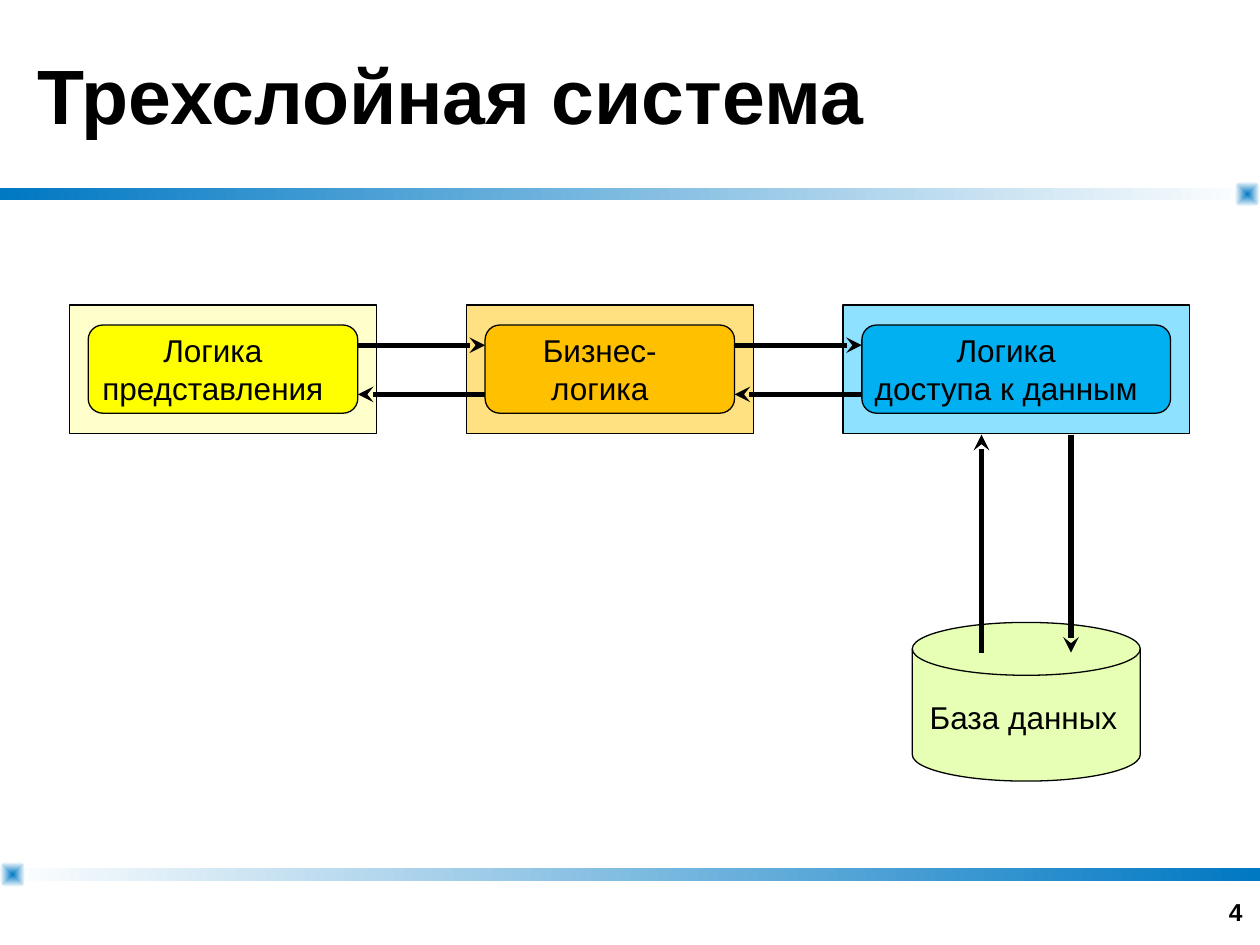
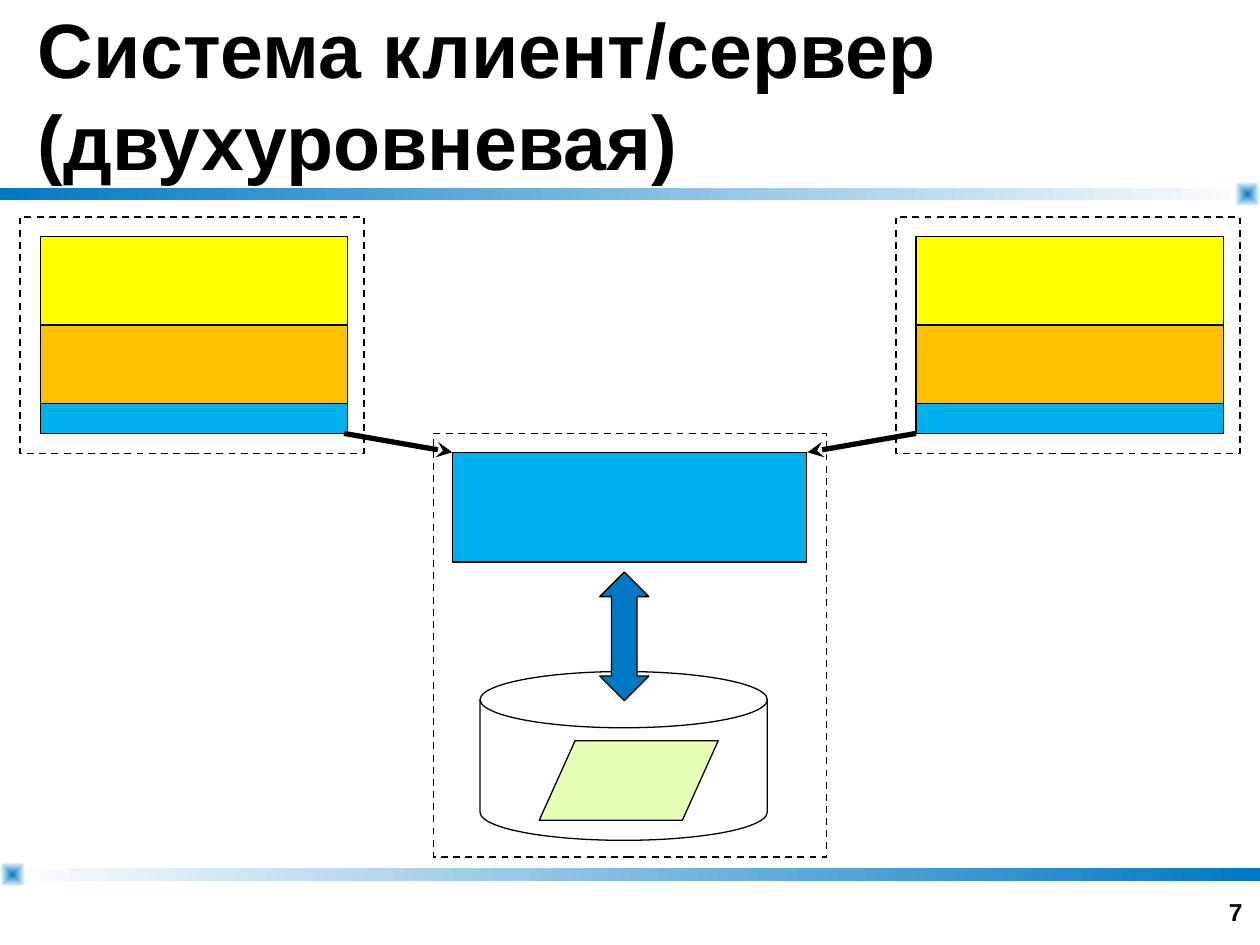
import pptx
import pptx.util
import pptx.dml.color
import pptx.enum.dml
import pptx.enum.shapes
import pptx.enum.text
import pptx.oxml
import pptx.oxml.ns

Inches = pptx.util.Inches
Pt = pptx.util.Pt
SHAPE = pptx.enum.shapes.MSO_SHAPE
ANCHOR = pptx.enum.text.MSO_ANCHOR
ALIGN = pptx.enum.text.PP_ALIGN

FONT = "Arial"
BLACK, WHITE, BLUE = "000000", "FFFFFF", "0078C3"
YELLOW, ORANGE, SKY, LIME = "FFFF00", "FFC000", "00B0F0", "E6FFB4"

THREE_LAYER = {"title": ["Трехслойная система"], "number": "4"}
CLIENT_SERVER = {"title": ["Система клиент/сервер", "(двухуровневая)"], "number": "7"}

BANDS = [(1.49, BLUE, WHITE), (6.89, WHITE, BLUE)]
BAND_ENDS = [(9.8, 1.44), (0, 6.84)]

LAYERS = [
    (0.55, 2.44, "FFFFCC", YELLOW, ["Логика", "представления"]),
    (3.7, 2.28, "FFE181", ORANGE, ["Бизнес-логика"]),
    (6.69, 2.75, "8FE2FF", SKY, ["Логика", "доступа к данным"]),
]
PANEL_TOP, PANEL_HEIGHT = 2.42, 1.02
INSET_X, INSET_Y = 0.15, 0.16
LABEL_SHIFT = 0.16
REQUEST_Y, REPLY_Y = 2.74, 3.13
DATABASE_LABEL = ["База данных"]
DATABASE_ARROWS = [(7.79, 5.18, 3.45), (8.5, 3.45, 5.18)]

CLIENT_LEFTS = [0.16, 7.11]
CLIENT_TOP, CLIENT_WIDTH, CLIENT_HEIGHT = 1.72, 2.73, 1.88
CLIENT_STACK = [(YELLOW, 0.7), (ORANGE, 0.62), (SKY, 0.24)]
STACK_INSET, STACK_WIDTH = 0.16, 2.44
SERVER_FRAME = (3.44, 3.44, 3.12, 3.36)
SERVER_LOGIC = (3.59, 3.59, 2.81, 0.87)
CLIENT_LINKS = [(2.73, 3.59), (7.27, 6.41)]


def rgb(value):
    return pptx.dml.color.RGBColor.from_string(value)


def add_part(slide, kind, box, fill=None, line=BLACK, weight=0.75, dash=None, adjust=()):
    part = slide.shapes.add_shape(kind, *map(Inches, box))
    part.shadow.inherit = False
    if fill:
        part.fill.solid()
        part.fill.fore_color.rgb = rgb(fill)
    else:
        part.fill.background()
    if line:
        part.line.color.rgb = rgb(line)
        part.line.width = Pt(weight)
        part.line.dash_style = dash
    else:
        part.line.fill.background()
    for index, value in enumerate(adjust):
        part.adjustments[index] = value
    return part


def add_gradient(part, start, end, centred=False):
    part.fill.gradient()
    for stop, color in zip(part.fill.gradient_stops, (start, end)):
        stop.color.rgb = rgb(color)
    part.fill.gradient_angle = 0
    if centred:
        direction = part._element.spPr.find(".//" + pptx.oxml.ns.qn("a:lin"))
        direction.getparent().replace(direction, pptx.oxml.parse_xml(
            f'<a:path {pptx.oxml.ns.nsdecls("a")} path="shape">'
            '<a:fillToRect l="50000" t="50000" r="50000" b="50000"/></a:path>'))


def add_text(slide, lines, box, size=18, bold=False, align=ALIGN.LEFT,
             anchor=ANCHOR.MIDDLE, wrap=False):
    frame = slide.shapes.add_textbox(*map(Inches, box)).text_frame
    frame.word_wrap = wrap
    frame.vertical_anchor = anchor
    for index, line in enumerate(lines):
        paragraph = frame.paragraphs[0] if index == 0 else frame.add_paragraph()
        paragraph.alignment = align
        run = paragraph.add_run()
        run.text = line
        run.font.name = FONT
        run.font.size = Pt(size)
        run.font.bold = bold
        run.font.color.rgb = rgb(BLACK)


def add_arrow(slide, start, end):
    arrow = slide.shapes.add_connector(
        pptx.enum.shapes.MSO_CONNECTOR.STRAIGHT, *map(Inches, start + end))
    arrow.line.color.rgb = rgb(BLACK)
    arrow.line.width = Pt(3)
    namespace = pptx.oxml.ns.nsdecls("a")
    arrow.line._get_or_add_ln().append(
        pptx.oxml.parse_xml(f'<a:tailEnd {namespace} type="stealth"/>'))
    arrow._element.spPr.append(pptx.oxml.parse_xml(f"<a:effectLst {namespace}/>"))


def add_page(deck, content):
    slide = deck.slides.add_slide(deck.slide_layouts[6])
    for top, start, end in BANDS:
        band = add_part(slide, SHAPE.RECTANGLE, (0, top, 10, 0.1), line=None)
        add_gradient(band, start, end)
    for left, top in BAND_ENDS:
        band_end = add_part(slide, SHAPE.ROUNDED_RECTANGLE, (left, top, 0.2, 0.2),
                            line=None, adjust=[0.32])
        add_gradient(band_end, BLUE, WHITE, centred=True)
    add_text(slide, content["title"], (0.2, 0, 9.6, 1.49), size=44, bold=True, wrap=True)
    add_text(slide, [content["number"]], (7.63, 6.9, 2.33, 0.5), size=14, bold=True,
             align=ALIGN.RIGHT, anchor=ANCHOR.BOTTOM, wrap=True)
    return slide


def draw_three_layers(slide):
    block_top = PANEL_TOP + INSET_Y
    block_height = PANEL_HEIGHT - 2 * INSET_Y
    sides = []
    for left, width, panel_color, block_color, label in LAYERS:
        block_left, block_width = left + INSET_X, width - 2 * INSET_X
        add_part(slide, SHAPE.RECTANGLE, (left, PANEL_TOP, width, PANEL_HEIGHT), panel_color)
        add_part(slide, SHAPE.ROUNDED_RECTANGLE,
                 (block_left, block_top, block_width, block_height), block_color)
        add_text(slide, label, (block_left, block_top, block_width - LABEL_SHIFT, block_height),
                 align=ALIGN.CENTER)
        sides.append((block_left, block_left + block_width))
    for (_, right), (next_left, _) in zip(sides, sides[1:]):
        add_arrow(slide, (right, REQUEST_Y), (next_left, REQUEST_Y))
        add_arrow(slide, (next_left, REPLY_Y), (right, REPLY_Y))
    add_part(slide, SHAPE.FLOWCHART_MAGNETIC_DISK, (7.24, 4.94, 1.81, 1.26), LIME)
    add_text(slide, DATABASE_LABEL, (7.28, 5.49, 1.71, 0.4))
    for x, start, end in DATABASE_ARROWS:
        add_arrow(slide, (x, start), (x, end))


def draw_client_server(slide):
    dash = pptx.enum.dml.MSO_LINE.DASH
    for left in CLIENT_LEFTS:
        top = CLIENT_TOP + STACK_INSET
        for color, height in CLIENT_STACK:
            add_part(slide, SHAPE.RECTANGLE,
                     (left + STACK_INSET, top, STACK_WIDTH, height), color)
            top += height
    add_part(slide, SHAPE.FLOWCHART_MAGNETIC_DISK, (3.81, 5.33, 2.28, 1.34))
    add_part(slide, SHAPE.FLOWCHART_DATA, (4.28, 5.88, 1.42, 0.63), LIME)
    add_part(slide, SHAPE.UP_DOWN_ARROW, (4.76, 4.54, 0.39, 1.02), BLUE, adjust=[0.5, 0.52])
    add_part(slide, SHAPE.RECTANGLE, SERVER_LOGIC, SKY)
    for client_x, server_x in CLIENT_LINKS:
        add_arrow(slide, (client_x, 3.44), (server_x, 3.59))
    frames = [(left, CLIENT_TOP, CLIENT_WIDTH, CLIENT_HEIGHT) for left in CLIENT_LEFTS]
    for frame in frames + [SERVER_FRAME]:
        add_part(slide, SHAPE.RECTANGLE, frame, weight=1, dash=dash)


def main():
    deck = pptx.Presentation()
    deck.slide_width, deck.slide_height = Inches(10), Inches(7.5)
    draw_three_layers(add_page(deck, THREE_LAYER))
    draw_client_server(add_page(deck, CLIENT_SERVER))
    deck.save("out.pptx")


if __name__ == "__main__":
    main()
